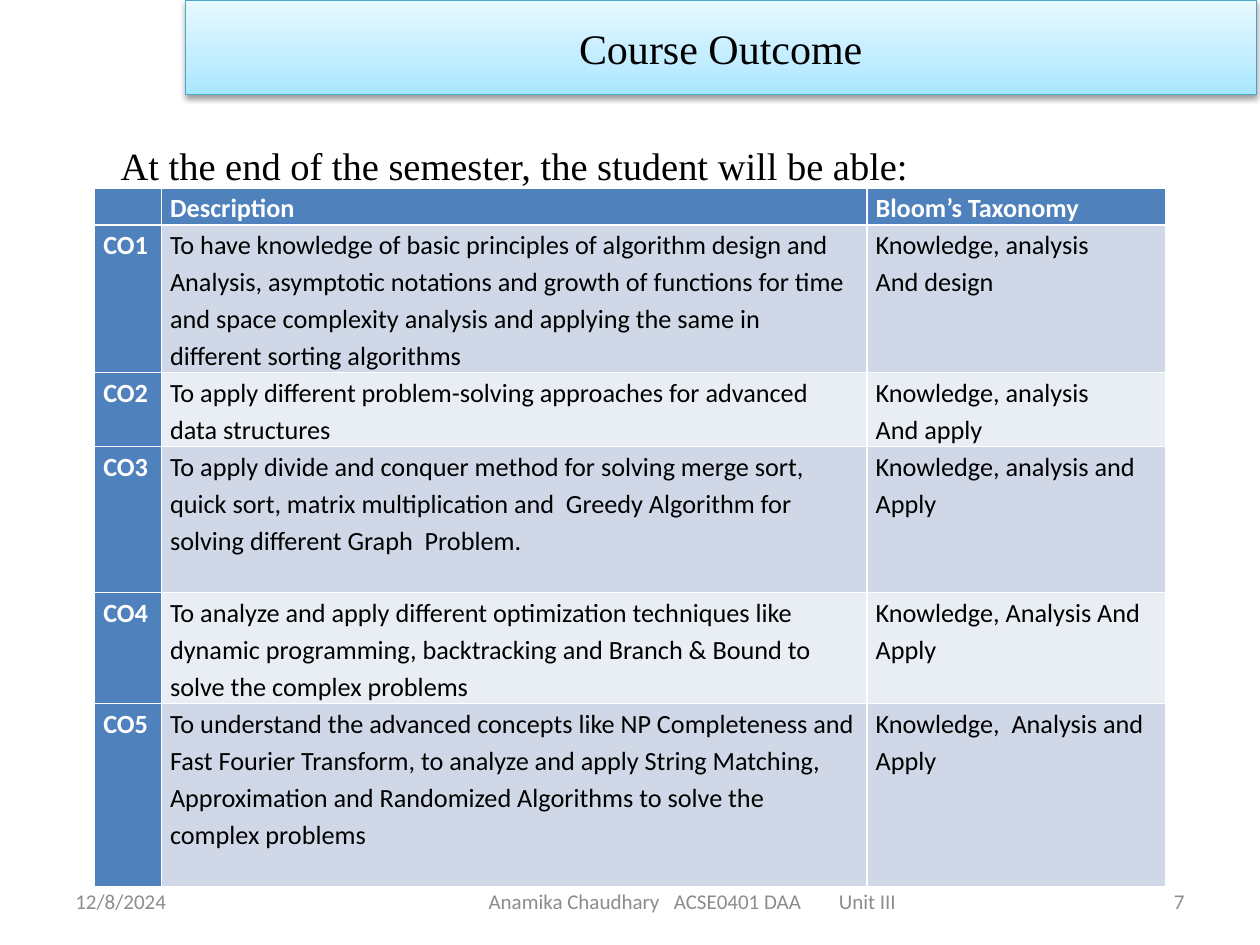
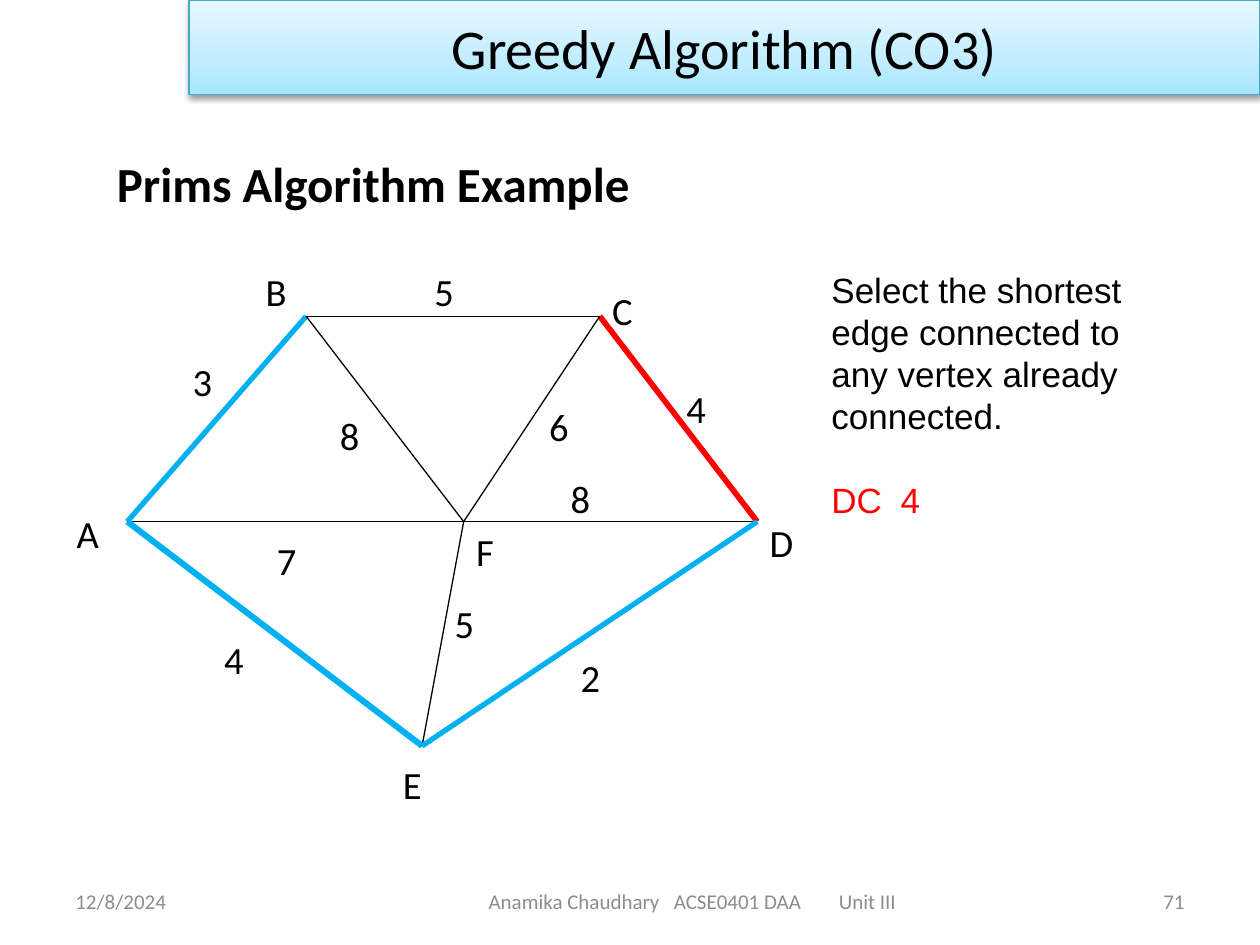
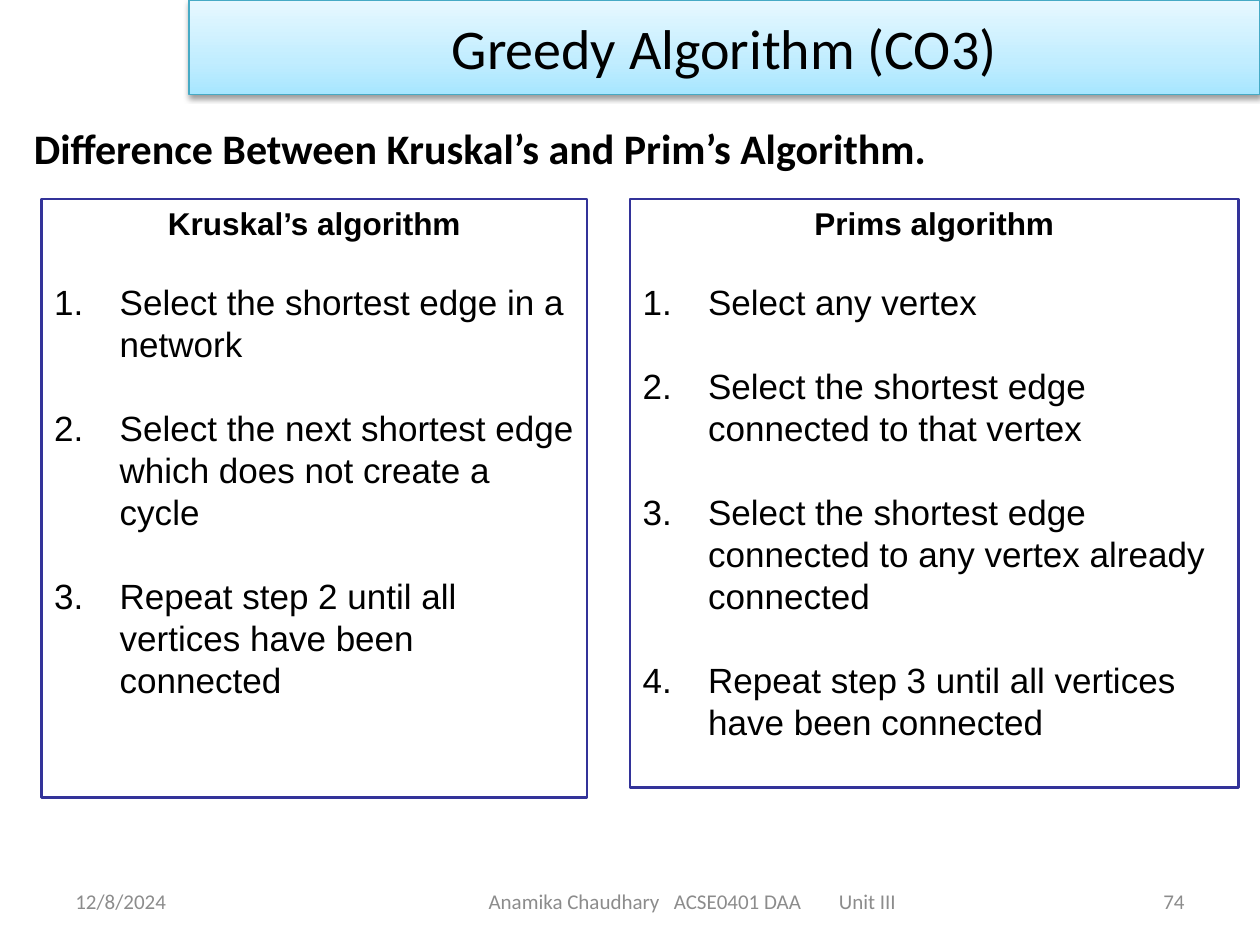
from typing import NamedTuple

from lxml import etree
from pptx import Presentation
from pptx import util as u
from pptx.dml.color import RGBColor
from pptx.enum import shapes, text
from pptx.oxml import parse_xml
from pptx.oxml.ns import nsdecls, qn

BLACK, WHITE, RED, BLUE = "000000", "FFFFFF", "FF0000", "00B0F0"
GREY, BAND_EDGE, PANEL_EDGE = "8C8C8C", "46AAC5", "333399"
HEADER, ODD_ROW, EVEN_ROW = "4F81BD", "D0D8E8", "E9EDF4"
BAND_STOPS = [(0, "A7E6FF"), (35, "C1EDFF"), (100, "E7F8FF")]
LEFT, CENTER, RIGHT = (text.PP_ALIGN.LEFT, text.PP_ALIGN.CENTER, text.PP_ALIGN.RIGHT)
TOP, MIDDLE = text.MSO_ANCHOR.TOP, text.MSO_ANCHOR.MIDDLE
TITLE_ONLY, TWO_CONTENT = 5, 3
LINE_HEIGHT = 0.29
LIST_INDENT = 0.52


class Box(NamedTuple):
    left: float
    top: float
    width: float
    height: float


class Outcome(NamedTuple):
    code: str
    description: str
    taxonomy: list[str]
    lines: int


class Edge(NamedTuple):
    ends: str
    color: str = BLACK
    weight: float = 0.75


class Label(NamedTuple):
    caption: str
    left: float
    top: float


class Panel(NamedTuple):
    heading: str
    steps: list[str]
    box: Box


OUTCOMES = [
    Outcome("CO1", "To have knowledge of basic principles of algorithm design and Analysis, "
            "asymptotic notations and growth of functions for time and space complexity "
            "analysis and applying the same in different sorting algorithms",
            ["Knowledge, analysis", "And design"], 4),
    Outcome("CO2", "To apply different problem-solving approaches for advanced data structures",
            ["Knowledge, analysis", "And apply"], 2),
    Outcome("CO3", "To apply divide and conquer method for solving merge sort, quick sort, "
            "matrix multiplication and  Greedy Algorithm for solving different Graph  Problem.",
            ["Knowledge, analysis and Apply"], 4),
    Outcome("CO4", "To analyze and apply different optimization techniques like dynamic "
            "programming, backtracking and Branch & Bound to solve the complex problems",
            ["Knowledge, Analysis And Apply"], 3),
    Outcome("CO5", "To understand the advanced concepts like NP Completeness and Fast Fourier "
            "Transform, to analyze and apply String Matching, Approximation and Randomized "
            "Algorithms to solve the complex problems",
            ["Knowledge,  Analysis and Apply"], 5),
]
VERTICES = {"A": (1.01, 4.14), "B": (2.43, 2.51), "C": (4.76, 2.51),
            "D": (6.01, 4.14), "E": (3.35, 5.92), "F": (3.68, 4.14)}
EDGES = [Edge("AB", BLUE, 3), Edge("BC"), Edge("CD", RED, 3.25), Edge("AF"), Edge("FD"),
         Edge("BF"), Edge("FC"), Edge("AE", BLUE, 3.5), Edge("EF"), Edge("ED", BLUE, 3)]
LABELS = [
    Label("A", 0.51, 4), Label("F", 3.68, 4.14), Label("B", 2.01, 2.08),
    Label("C", 4.76, 2.23), Label("D", 6.01, 4.07), Label("E", 3.1, 5.99),
    Label("2", 4.51, 5.14), Label("7", 2.1, 4.21), Label("4", 1.68, 5),
    Label("5", 3.51, 4.71), Label("8", 2.6, 3.22), Label("6", 4.26, 3.15),
    Label("4", 5.35, 3.01), Label("5", 3.35, 2.08), Label("3", 1.43, 2.79),
    Label("8", 4.43, 3.72),
]
PANELS = [
    Panel("Kruskal’s algorithm",
          ["Select the shortest edge in a network",
           "Select the next shortest edge which does not create a cycle",
           "Repeat step 2 until all vertices have been connected"],
          Box(0.33, 1.58, 4.33, 4.75)),
    Panel("Prims algorithm",
          ["Select any vertex",
           "Select the shortest edge connected to that vertex",
           "Select the shortest edge connected to any vertex already connected",
           "Repeat step 3 until all vertices have been connected"],
          Box(5, 1.58, 4.83, 4.67)),
]


def rgb(color: str) -> RGBColor:
    return RGBColor.from_string(color)


def inches(values) -> list[u.Length]:
    return [u.Inches(value) for value in values]


def write(frame, content: str, *, size: float, font: str = "Calibri", color: str = BLACK,
          bold: bool = False, align=LEFT, before: float = 0, spacing: float = 1,
          bullet: str = "", indent: float = 0, tabs: tuple = ()) -> None:
    paragraph = frame.add_paragraph() if frame.text else frame.paragraphs[0]
    paragraph.alignment = align
    paragraph.line_spacing = spacing
    paragraph.space_before = u.Pt(before)
    properties = paragraph._p.get_or_add_pPr()
    if bullet:
        properties.set("marL", str(u.Inches(indent)))
        properties.set("indent", str(-u.Inches(indent)))
        mark = etree.SubElement(properties, qn(f"a:{bullet}"))
        if bullet == "buAutoNum":
            mark.set("type", "arabicPeriod")
    if tabs:
        stops = etree.SubElement(properties, qn("a:tabLst"))
        for position in tabs:
            etree.SubElement(stops, qn("a:tab"), pos=str(u.Inches(position)), algn="l")
    run = paragraph.add_run()
    run.text = content
    run.font.size = u.Pt(size)
    run.font.name = font
    run.font.bold = bold
    run.font.color.rgb = rgb(color)


def place(shape, box: Box, anchor):
    shape.left, shape.top, shape.width, shape.height = inches(box)
    frame = shape.text_frame
    frame.word_wrap = True
    frame.auto_size = text.MSO_AUTO_SIZE.NONE
    frame.vertical_anchor = anchor
    return frame


def add_text(slide, box: Box, anchor=TOP):
    return place(slide.shapes.add_textbox(*inches(box)), box, anchor)


def add_band(slide, title: str, left: float, **style) -> None:
    band = slide.shapes.title
    write(place(band, Box(left, 0, 8.5, 0.75), MIDDLE), title, align=CENTER, **style)
    stops = "".join(f'<a:gs pos="{position * 1000}"><a:srgbClr val="{color}"/></a:gs>'
                    for position, color in BAND_STOPS)
    properties = band._element.spPr
    properties.append(parse_xml(
        f'<a:gradFill {nsdecls("a")} rotWithShape="1"><a:gsLst>{stops}</a:gsLst>'
        '<a:lin ang="16200000" scaled="1"/></a:gradFill>'))
    band.line.color.rgb = rgb(BAND_EDGE)
    band.line.width = u.Pt(0.75)
    properties.append(parse_xml(
        f'<a:effectLst {nsdecls("a")}><a:outerShdw blurRad="40000" dist="20000" '
        'dir="5400000" rotWithShape="0"><a:srgbClr val="000000"><a:alpha val="38000"/>'
        '</a:srgbClr></a:outerShdw></a:effectLst>'))


def add_footer(slide, number: str) -> None:
    style = dict(size=12, color=GREY)
    write(add_text(slide, Box(0.5, 6.95, 2.33, 0.4), MIDDLE), "12/8/2024", **style)
    write(add_text(slide, Box(3.78, 6.95, 3.5, 0.4), MIDDLE),
          "Anamika Chaudhary\tACSE0401 DAA\tUnit III", tabs=(1.47, 2.78), **style)
    write(add_text(slide, Box(7.17, 6.95, 2.33, 0.4), MIDDLE), number, align=RIGHT, **style)


def add_slide(deck, layout: int, title: str, number: str, left: float = 1.5,
              size: float = 32, font: str = "Calibri"):
    slide = deck.slides.add_slide(deck.slide_layouts[layout])
    add_band(slide, title, left, size=size, font=font)
    add_footer(slide, number)
    return slide


def fill_cell(cell, paragraphs: list[str], fill: str, strong: bool) -> None:
    cell.margin_left = cell.margin_right = u.Inches(0.07)
    cell.margin_top = cell.margin_bottom = 0
    cell.fill.solid()
    cell.fill.fore_color.rgb = rgb(fill)
    for content in paragraphs:
        write(cell.text_frame, content, size=15, spacing=1.15, bold=strong,
              color=WHITE if strong else BLACK)


def add_outcomes(slide) -> None:
    rows = [Outcome("", "Description", ["Bloom’s Taxonomy"], 1), *OUTCOMES]
    height = LINE_HEIGHT * sum(row.lines for row in rows)
    table = slide.shapes.add_table(len(rows), 3, *inches((0.75, 1.49, 8.5, height))).table
    table.first_col = True
    for column, width in zip(table.columns, inches((0.53, 5.6, 2.37))):
        column.width = width
    for index, row in enumerate(rows):
        table.rows[index].height = u.Inches(LINE_HEIGHT * row.lines)
        shade = ODD_ROW if index % 2 else EVEN_ROW
        for column, paragraphs in enumerate(([row.code], [row.description], row.taxonomy)):
            strong = index == 0 or column == 0
            fill_cell(table.cell(index, column), paragraphs, HEADER if strong else shade, strong)


def add_edge(slide, edge: Edge) -> None:
    start, end = (VERTICES[vertex] for vertex in edge.ends)
    line = slide.shapes.add_connector(shapes.MSO_CONNECTOR.STRAIGHT, *inches(start + end))
    line.line.color.rgb = rgb(edge.color)
    line.line.width = u.Pt(edge.weight)
    etree.SubElement(line._element.spPr, qn("a:effectLst"))


def add_panel(placeholder, panel: Panel) -> None:
    frame = place(placeholder, panel.box, TOP)
    frame.margin_top = frame.margin_bottom = u.Inches(0.04)
    placeholder.line.color.rgb = rgb(PANEL_EDGE)
    placeholder.line.width = u.Pt(1.5)
    write(frame, panel.heading, size=18, font="Arial", bold=True, align=CENTER, bullet="buNone")
    for index, step in enumerate(panel.steps):
        write(frame, step, size=20, font="Arial", before=24 if index else 22,
              bullet="buAutoNum", indent=LIST_INDENT)


def build_outcomes(deck) -> None:
    slide = add_slide(deck, TITLE_ONLY, "Course Outcome", "7", 1.47, 24, "Times New Roman")
    add_outcomes(slide)
    write(add_text(slide, Box(0.86, 1.02, 8.5, 0.5)),
          "At the end of the semester, the student will be able:",
          size=22, font="Times New Roman", spacing=1.15)


def build_prims_example(deck) -> None:
    slide = add_slide(deck, TITLE_ONLY, "Greedy Algorithm (CO3)", "71")
    write(add_text(slide, Box(0.83, 1.17, 5.66, 0.57)), "Prims Algorithm Example",
          size=28, bold=True)
    for edge in EDGES:
        add_edge(slide, edge)
    for label in LABELS:
        write(add_text(slide, Box(label.left, label.top, 0.5, 0.47)), label.caption, size=22)
    step = add_text(slide, Box(6.5, 2.08, 3.25, 3.13))
    for line in ("Select the shortest", "edge connected to", "any vertex already", "connected."):
        write(step, line, size=20, font="Arial")
    write(step, "DC\t4", size=20, font="Arial", color=RED, before=24, tabs=(0.55,))


def build_comparison(deck) -> None:
    slide = add_slide(deck, TWO_CONTENT, "Greedy Algorithm (CO3)", "74")
    write(add_text(slide, Box(0.17, 0.92, 9.5, 0.5)),
          "Difference Between Kruskal’s and Prim’s Algorithm.", size=24, bold=True)
    for position, panel in enumerate(PANELS, start=1):
        add_panel(slide.placeholders[position], panel)


def main() -> None:
    deck = Presentation()
    deck.slide_width, deck.slide_height = inches((10, 7.5))
    build_outcomes(deck)
    build_prims_example(deck)
    build_comparison(deck)
    deck.save("out.pptx")


if __name__ == "__main__":
    main()
